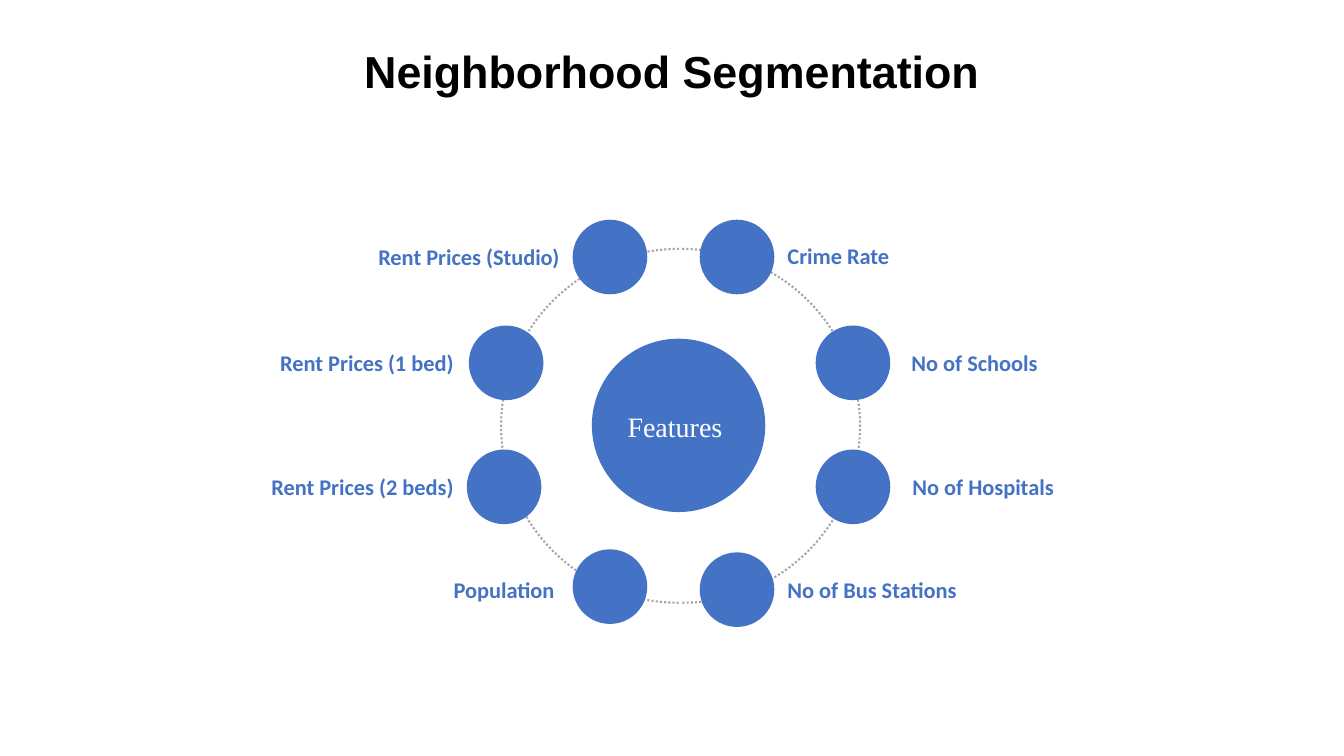
from pptx import Presentation
from pptx.dml.color import RGBColor
from pptx.enum import dml, shapes, text
from pptx.util import Inches, Pt

BLUE = RGBColor(0x44, 0x72, 0xC4)
GRAY = RGBColor(0xA6, 0xA6, 0xA6)
BLACK = RGBColor(0, 0, 0)
WHITE = RGBColor(0xFF, 0xFF, 0xFF)

DOT_SIZE = 0.74
RING_SIZE = 3.51
LABEL_HEIGHT = 0.27


def add_circle(left, top, size):
    circle = page.shapes.add_shape(
        shapes.MSO_SHAPE.OVAL, Inches(left), Inches(top), Inches(size), Inches(size))
    circle.shadow.inherit = False
    circle.fill.solid()
    circle.fill.fore_color.rgb = BLUE
    circle.line.fill.background()


def add_text(words, left, top, width, height, align, font_name, size, color):
    box = page.shapes.add_textbox(Inches(left), Inches(top), Inches(width), Inches(height))
    box.text_frame.word_wrap = True
    para = box.text_frame.paragraphs[0]
    para.text = words
    para.alignment = align
    para.font.name = font_name
    para.font.size = Pt(size)
    para.font.color.rgb = color
    return box.text_frame


deck = Presentation()
deck.slide_width, deck.slide_height = Inches(13.33), Inches(7.5)
page = deck.slides.add_slide(deck.slide_layouts[5])

# Title
title = page.shapes.title
title.left, title.top = Inches(0), Inches(0.44)
title.width, title.height = Inches(13.33), Inches(0.53)
title.text_frame.vertical_anchor = text.MSO_ANCHOR.TOP
title.text_frame.auto_size = text.MSO_AUTO_SIZE.NONE
heading = title.text_frame.paragraphs[0]
heading.text = "Neighborhood Segmentation"
heading.alignment = text.PP_ALIGN.CENTER
heading.line_spacing = 0.9
heading.font.name = "Arial"
heading.font.size = Pt(32)
heading.font.bold = True
heading.font.color.rgb = BLACK

# Dotted ring: a left half and a mirrored right half
for left, mirrored in ((5.02, True), (4.97, False)):
    half_ring = page.shapes.add_shape(
        shapes.MSO_SHAPE.ARC, Inches(left), Inches(2.47), Inches(RING_SIZE), Inches(RING_SIZE))
    half_ring.adjustments[0] = 53.86
    half_ring.adjustments[1] = 162.398
    half_ring.shadow.inherit = False
    half_ring.fill.background()
    half_ring.line.color.rgb = GRAY
    half_ring.line.width = Pt(1.5)
    half_ring.line.dash_style = dml.MSO_LINE.ROUND_DOT
    if mirrored:
        half_ring.element.spPr.xfrm.set("flipH", "1")

# Hub
add_circle(5.87, 3.36, 1.72)
add_text("Features", 5.92, 4.01, 1.55, 0.44, text.PP_ALIGN.CENTER,
         "Times New Roman", 20, WHITE)

# Features: label, dot left, dot top, label left, label top, label width
left_features = [
    ("Rent Prices (Studio)", 5.68, 2.18, 3.66, 2.41, 1.89),
    ("Rent Prices (1 bed)", 4.65, 3.23, 2.61, 3.46, 1.89),
    ("Rent Prices (2 beds)", 4.63, 4.46, 2.61, 4.69, 1.89),
    ("Population", 5.68, 5.45, 4.47, 5.71, 1.03),
]
right_features = [
    ("Crime Rate", 6.94, 2.18, 7.81, 2.4, 1.48),
    ("No of Schools", 8.09, 3.23, 9.04, 3.46, 1.6),
    ("No of Hospitals", 8.09, 4.46, 9.05, 4.69, 1.6),
    ("No of Bus Stations", 6.94, 5.48, 7.81, 5.71, 2.2),
]
for features, align in ((left_features, text.PP_ALIGN.RIGHT),
                        (right_features, text.PP_ALIGN.LEFT)):
    for name, dot_left, dot_top, left, top, width in features:
        add_circle(dot_left, dot_top, DOT_SIZE)
        label = add_text(name, left, top, width, LABEL_HEIGHT, align, "Calibri", 16, BLUE)
        label.margin_left = label.margin_right = 0
        label.margin_top = label.margin_bottom = 0
        label.vertical_anchor = text.MSO_ANCHOR.MIDDLE
        label.paragraphs[0].font.bold = True

deck.save("out.pptx")
